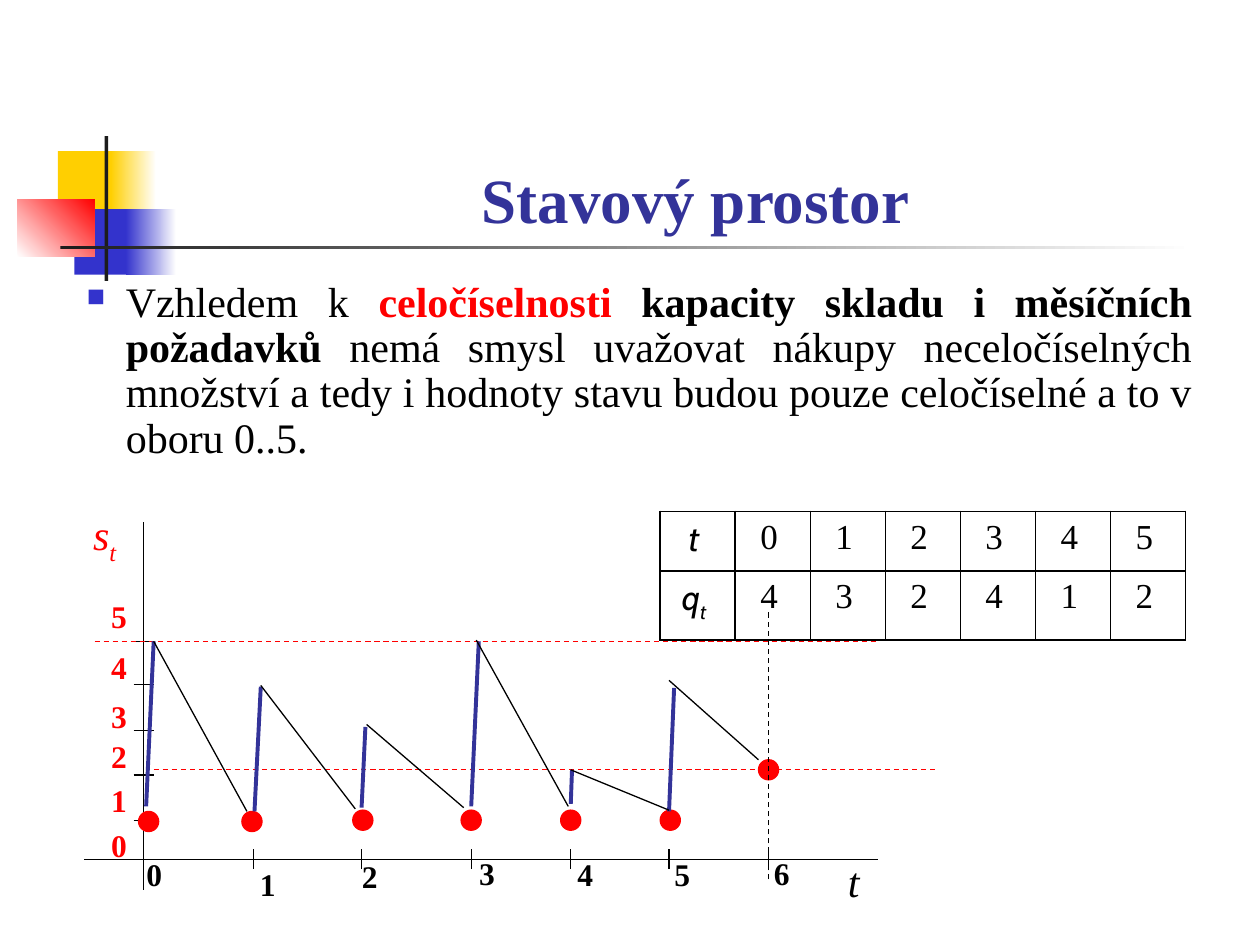
from pptx import Presentation
from pptx.dml.color import RGBColor
from pptx.enum.dml import MSO_LINE
from pptx.enum.shapes import MSO_CONNECTOR, MSO_SHAPE
from pptx.enum.text import MSO_ANCHOR, PP_ALIGN
from pptx.oxml import parse_xml
from pptx.oxml.ns import nsdecls
from pptx.util import Inches, Pt

RECT, OVAL = MSO_SHAPE.RECTANGLE, MSO_SHAPE.OVAL
STRAIGHT, DASH = MSO_CONNECTOR.STRAIGHT, MSO_LINE.DASH
CENTER, JUSTIFY = PP_ALIGN.CENTER, PP_ALIGN.JUSTIFY
SERIF, SANS = "Times New Roman", "Cabin"
BLACK, WHITE, RED = "000000", "FFFFFF", "FF0000"
YELLOW, BLUE, NAVY, DARK = "FFCF01", "3333CC", "333399", "1C1C1C"

# Content: runs are (text, format overrides)
TITLE = "Stavový prostor"
BODY = [
    ("Vzhledem k ", {}),
    ("celočíselnosti ", {"color": RED, "bold": True}),
    ("kapacity skladu i měsíčních požadavků", {"bold": True}),
    (" nemá smysl uvažovat nákupy neceločíselných množství a tedy i hodnoty "
     "stavu budou pouze celočíselné a to v oboru 0..5.", {}),
]
HEADS = {"font": SANS, "italic": True}
DEMAND = [
    [("t", HEADS)], [0, 1, 2, 3, 4, 5],
    [("q", HEADS), ("t", {**HEADS, "sub": True})], [4, 3, 2, 4, 1, 2],
]

# Ornament: left, top, width, height, colours (one = solid), angle
ORNAMENT = [
    (0.46, 1.2, 0.48, 0.52, [YELLOW], 0),
    (0.88, 1.2, 0.36, 0.52, [YELLOW, WHITE], 0),
    (0.59, 1.66, 0.46, 0.52, [BLUE], 0),
    (1, 1.66, 0.4, 0.52, [BLUE, WHITE], 0),
    (0.14, 1.58, 0.61, 0.46, [WHITE, RED], 45),
    (0.83, 1.08, 0.03, 1.15, [DARK], 0),
    (0.48, 1.95, 9, 0.03, [DARK, WHITE], 0),
]

# Graph: axes, ticks, label positions and stock levels
AXIS_X, AXIS_Y, TICK = 1.14, 6.82, 0.08
STOCK_TICKS = [6.51, 6.15, 5.8, 5.43, 5.09]
MONTH_TICKS = [2.01, 2.87, 3.74, 4.53, 5.31, 6.1]
STOCK_LABELS = [6.51, 6.15, 5.8, 5.48, 5.09, 4.69]
MONTH_LABELS = [(0.95, 6.74), (1.85, 6.82), (2.66, 6.75), (3.59, 6.73),
                (4.37, 6.74), (5.14, 6.74), (5.93, 6.73)]
DOT = 0.16
STATES = [(1.18, 6.52), (2, 6.52), (2.88, 6.51), (3.74, 6.51),
          (4.53, 6.51), (5.32, 6.51), (6.1, 6.11)]
PURCHASES = [(1.16, 6.4, 1.22, 5.09), (2.02, 6.44, 2.07, 5.45),
             (2.87, 6.41, 2.9, 5.77), (3.74, 6.4, 3.8, 5.09),
             (4.53, 6.38, 4.54, 6.11), (5.31, 6.44, 5.35, 5.46)]
SALES = [(1.22, 5.09, 1.96, 6.44), (2.07, 5.44, 2.82, 6.42),
         (2.91, 5.75, 3.68, 6.41), (3.78, 5.08, 4.51, 6.4),
         (4.53, 6.11, 5.31, 6.43), (5.31, 5.4, 6.02, 6.03)]

prs = Presentation()
prs.slide_width, prs.slide_height = Inches(10), Inches(7.5)
s = prs.slides.add_slide(prs.slide_layouts[6])


def rgb(color):
    return RGBColor.from_string(color)


def add_runs(p, runs, size, align=CENTER):
    p.alignment = align
    for text, fmt in runs:
        r = p.add_run()
        r.text = text
        r.font.size, r.font.name = Pt(size), fmt.get("font", SERIF)
        r.font.bold, r.font.italic = fmt.get("bold", False), fmt.get("italic", False)
        r.font.color.rgb = rgb(fmt.get("color", BLACK))
        if fmt.get("sub"):
            r.font._element.set("baseline", "-25000")


def text_box(x, y, w, h, runs, size, align=CENTER):
    tf = s.shapes.add_textbox(*map(Inches, (x, y, w, h))).text_frame
    tf.word_wrap = True
    add_runs(tf.paragraphs[0], runs, size, align)
    return tf


def shape(kind, x, y, w, h, colors, angle=0):
    sp = s.shapes.add_shape(kind, *map(Inches, (x, y, w, h)))
    sp.shadow.inherit = False
    sp.line.fill.background()
    if len(colors) == 1:
        sp.fill.solid()
        sp.fill.fore_color.rgb = rgb(colors[0])
    else:
        sp.fill.gradient()
        sp.fill.gradient_angle = angle
        for stop, color in zip(sp.fill.gradient_stops, colors):
            stop.color.rgb = rgb(color)
    return sp


def line(x1, y1, x2, y2, color=BLACK, width=0.75, dash=None):
    c = s.shapes.add_connector(STRAIGHT, *map(Inches, (x1, y1, x2, y2)))
    c.line.color.rgb, c.line.width = rgb(color), Pt(width)
    if dash:
        c.line.dash_style = dash
    c._element.spPr.append(parse_xml(f"<a:effectLst {nsdecls('a')}/>"))


def border(cell, side, width):
    cell._tc.get_or_add_tcPr().append(parse_xml(
        f'<a:{side} {nsdecls("a")} w="{Pt(width)}"><a:solidFill>'
        f'<a:srgbClr val="{BLACK}"/></a:solidFill></a:{side}>'))


# Ornament, title and body
for *box, colors, angle in ORNAMENT:
    shape(RECT, *box, colors, angle)
tf = text_box(1.26, 0.67, 8.52, 1.25, [(TITLE, {"bold": True, "color": NAVY})], 36)
tf.vertical_anchor = MSO_ANCHOR.BOTTOM
tf = text_box(0.59, 2.18, 8.97, 1.57, BODY, 24, JUSTIFY)
p = tf.paragraphs[0]
p.line_spacing = 0.9
pPr = p._p.get_or_add_pPr()
pPr.set("marL", str(Inches(0.31)))
pPr.set("indent", str(-Inches(0.31)))
for bullet in (f'buClr {nsdecls("a")}><a:srgbClr val="{BLUE}"/></a:buClr>',
               f'buSzPct {nsdecls("a")} val="60000"/>',
               f'buChar {nsdecls("a")} char="■"/>'):
    pPr.append(parse_xml("<a:" + bullet))

# Axes, ticks and labels
line(0.67, AXIS_Y, 6.97, AXIS_Y)
line(AXIS_X, 7.06, AXIS_X, 4.14)
text_box(6.42, 6.74, 0.71, 0.5, [("t", {"italic": True})], 24)
red_italic = {"italic": True, "color": RED}
text_box(0.2, 3.99, 1.26, 0.56, [("s", red_italic), ("t", {**red_italic, "sub": True})], 24)
for y in STOCK_TICKS:
    line(AXIS_X - TICK, y, AXIS_X + TICK, y)
for x in MONTH_TICKS:
    line(x, AXIS_Y - TICK, x, AXIS_Y + TICK)
for i, y in enumerate(STOCK_LABELS):
    text_box(0.67, y, 0.55, 0.4, [(str(i), {"bold": True, "color": RED})], 18)
for i, (x, y) in enumerate(MONTH_LABELS):
    text_box(x, y, 0.55, 0.4, [(str(i), {"bold": True})], 18)

# Capacity and final stock levels
line(0.75, 5.09, 6.97, 5.09, RED, dash=DASH)
line(1.22, 6.11, 7.44, 6.11, RED, dash=DASH)

# Demand table
table_frame = s.shapes.add_table(2, 7, *map(Inches, (5.24, 4.06, 4.17, 1.02)))
table = table_frame.table
table.first_row = table.horz_banding = False
for col in table.columns:
    col.width = Inches(4.17 / 7)
for i, height in enumerate((0.47, 0.55)):
    table.rows[i].height = Inches(height)
    head, values = DEMAND[2 * i:2 * i + 2]
    for j, runs in enumerate([head] + [[(str(v), {})] for v in values]):
        cell = table.cell(i, j)
        cell.margin_left = Inches(0.04)
        add_runs(cell.text_frame.paragraphs[0], runs, 20)
        border(cell, "lnL", 1.08 if j < 2 else 0.45)
        border(cell, "lnR", 1.08 if j in (0, 6) else 0.45)
        border(cell, "lnT", 1.08)
        border(cell, "lnB", 1.08)
        cell.fill.background()

# Stock course: states, horizon, purchases and sales
for x, y in STATES:
    dot = shape(OVAL, x - DOT / 2, y - DOT / 2, DOT, DOT, [RED])
    dot.line.color.rgb, dot.line.width = rgb(RED), Pt(0.75)
line(6.1, 6.98, 6.1, 4.85, dash=DASH)
for ends in PURCHASES:
    line(*ends, NAVY, 2.25)
for ends in SALES:
    line(*ends)

prs.save("out.pptx")
